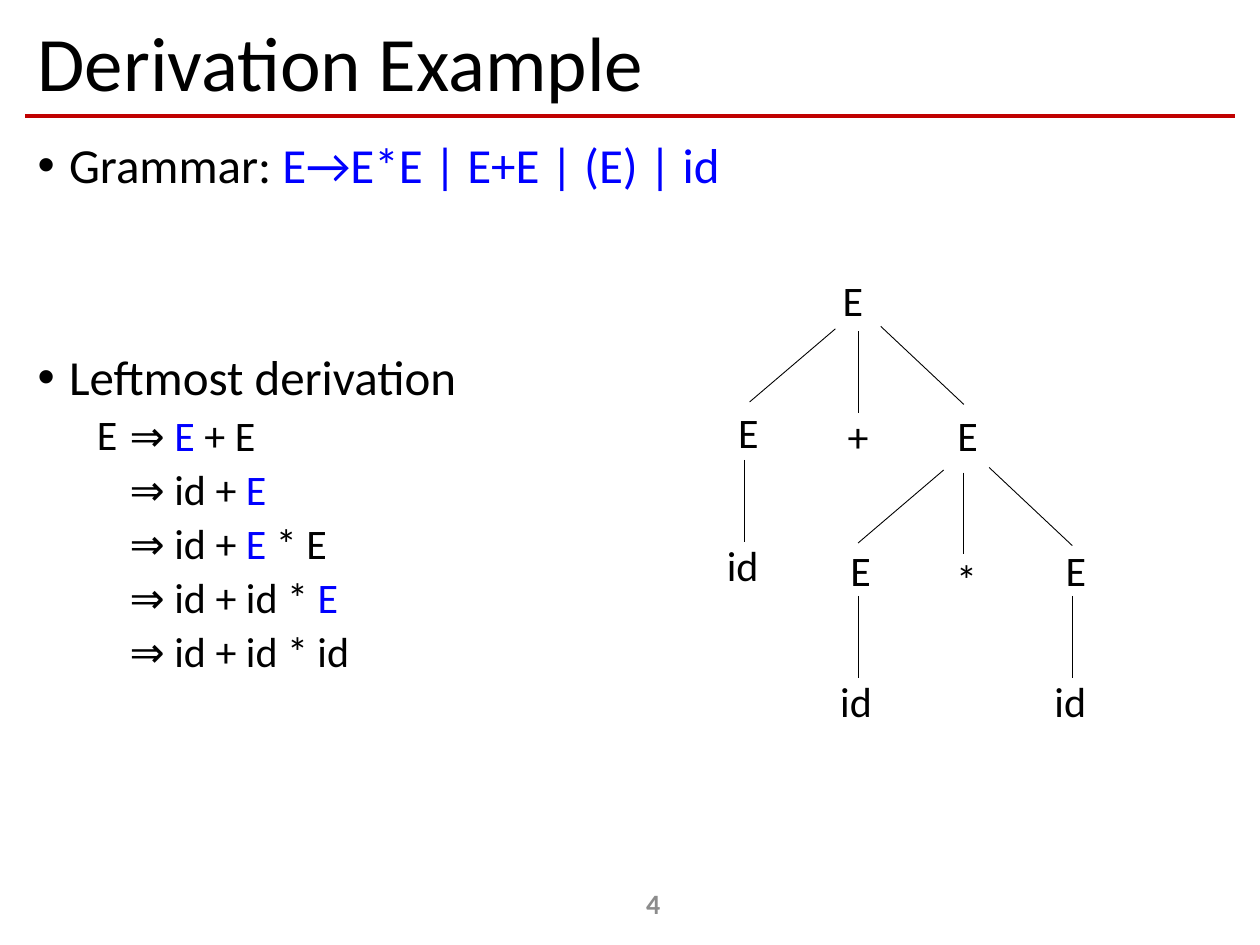
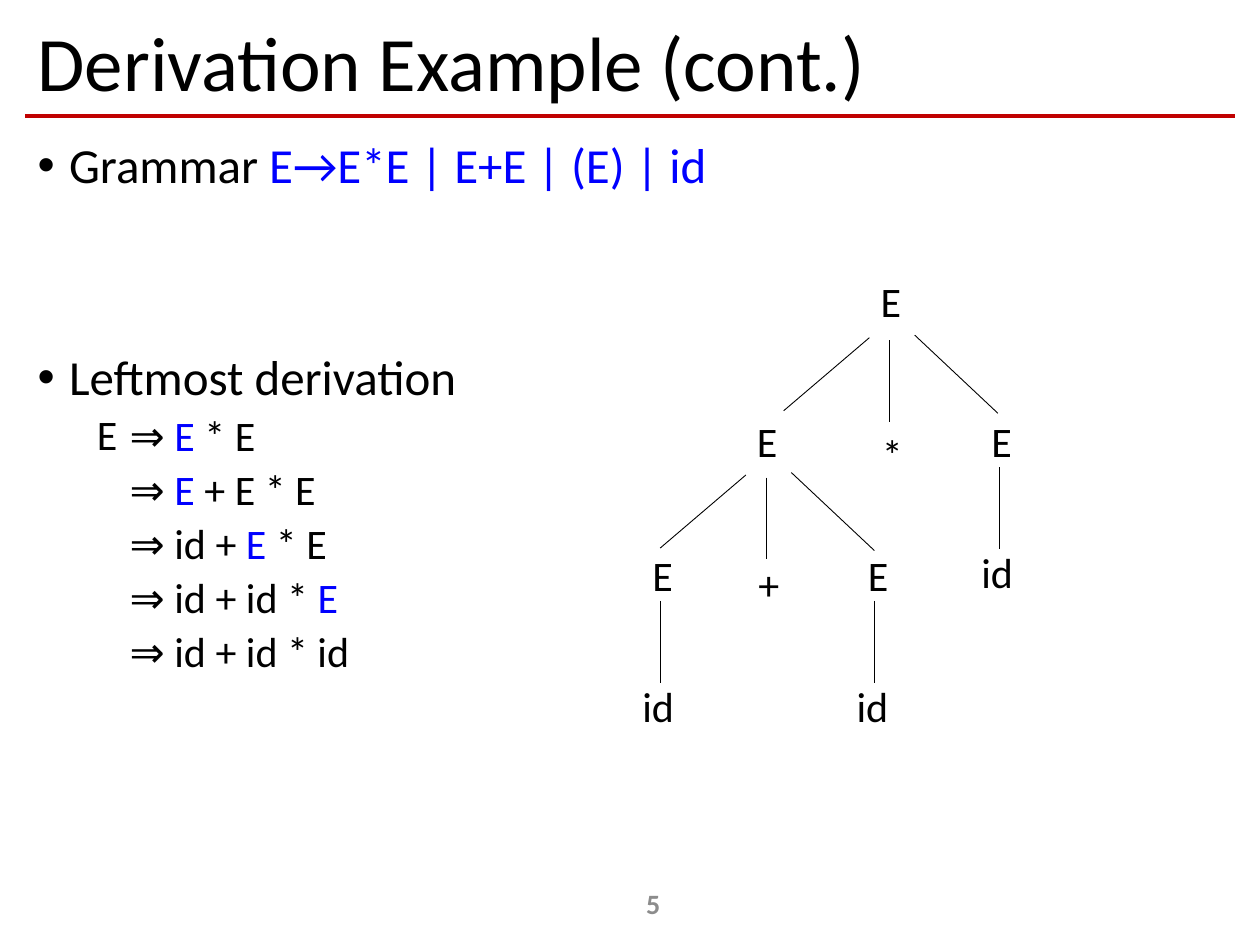
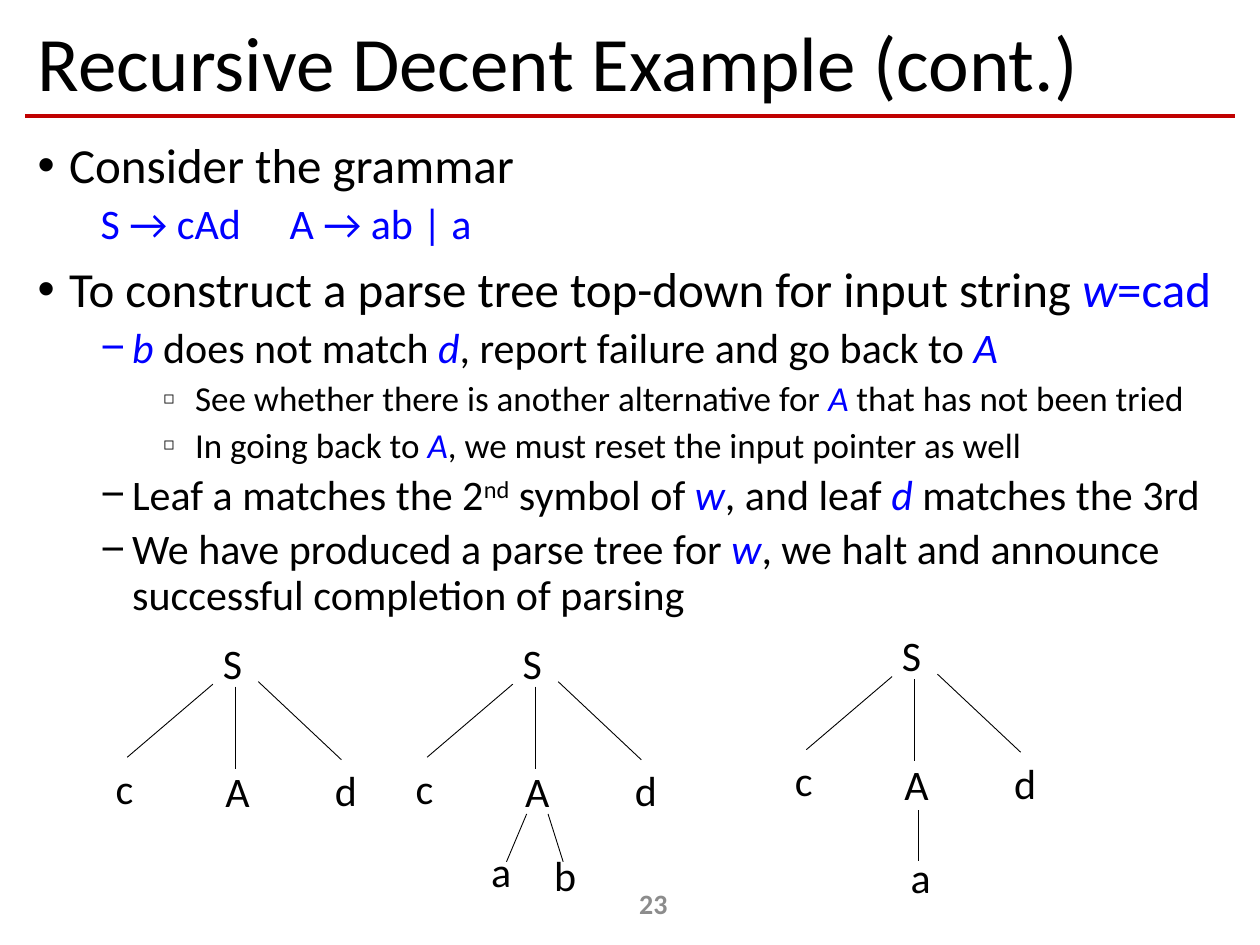
from dataclasses import dataclass

from lxml import etree
from pptx import Presentation
from pptx.dml.color import RGBColor
from pptx.enum import shapes, text
from pptx.oxml.ns import qn
from pptx.util import Inches, Pt

BLACK = RGBColor(0, 0, 0)
BLUE = RGBColor(0, 0, 0xFF)
RED = RGBColor(0xC0, 0, 0)
GREY = RGBColor(0x8C, 0x8C, 0x8C)
FONT = "Calibri"


# Text parts
@dataclass(frozen=True)
class Run:
    words: str
    blue: bool = False
    slant: bool = False
    high: bool = False


@dataclass(frozen=True)
class Level:
    size: int
    left: float
    first: float
    before: int
    mark: str = ""
    scale: int = 100
    tab: float = 0


@dataclass(frozen=True)
class Para:
    level: Level
    runs: tuple[Run, ...]


TOP = Level(28, 0.25, -0.25, 10, "•")
GAP = Level(28, 0.25, -0.25, 91, "•")
STEP = Level(24, 0.73, 0, 5)
RULE = Level(24, 0, 0.5, 5, tab=2.5)
DASH = Level(24, 0.75, -0.25, 5, "−")
BOX = Level(20, 1.25, -0.25, 5, "◻", 50)


def blue(words: str) -> Run:
    return Run(words, blue=True)


def var(words: str) -> Run:
    return Run(words, blue=True, slant=True)


def para(level: Level, *parts: str | Run) -> Para:
    return Para(level, tuple(Run(p) if isinstance(p, str) else p for p in parts))


# Tree parts
@dataclass(frozen=True)
class Label:
    words: str
    left: float
    top: float


@dataclass(frozen=True)
class Line:
    x1: float
    y1: float
    x2: float
    y2: float


@dataclass(frozen=True)
class Fan:
    """Three branches below (x, y); drops are the label offsets."""
    x: float
    y: float
    leaves: str
    drops: tuple = ((-1.05, 0.55), (-0.18, 0.58), (0.69, 0.57))
    shift: float = 0


@dataclass(frozen=True)
class Stem:
    x: float
    y: float
    leaf: str = "id"


@dataclass(frozen=True)
class Page:
    title: str
    number: int
    body: tuple[Para, ...]
    tree: tuple
    depth: float = 6.3


WIDTHS = {"id": 0.46, "A": 0.4, "c": 0.34}
LOW = ((-1.02, 0.52), (-0.18, 0.59), (0.69, 0.52))
WIDE = ((-1.17, 0.55), (-0.18, 0.65), (0.69, 0.55))


# Drawing
def draw_line(slide, line: Line, color: RGBColor = BLACK, width: float = 0.5) -> None:
    ends = [Inches(v) for v in (line.x1, line.y1, line.x2, line.y2)]
    link = slide.shapes.add_connector(shapes.MSO_CONNECTOR.STRAIGHT, *ends)
    link.line.color.rgb = color
    link.line.width = Pt(width)
    etree.SubElement(link._element.spPr, qn("a:effectLst"))


def add_box(slide, left: float, top: float, width: float, height: float, wrap: bool = True):
    box = slide.shapes.add_textbox(*map(Inches, (left, top, width, height)))
    box.text_frame.word_wrap = wrap
    return box.text_frame


def set_font(par, size: int, color: RGBColor = BLACK, bold: bool = False) -> None:
    par.font.name = FONT
    par.font.size = Pt(size)
    par.font.color.rgb = color
    par.font.bold = bold


def draw_label(slide, label: Label) -> None:
    frame = add_box(slide, label.left, label.top, WIDTHS.get(label.words, 0.37), 0.5, False)
    frame.auto_size = text.MSO_AUTO_SIZE.SHAPE_TO_FIT_TEXT
    frame.text = label.words
    set_font(frame.paragraphs[0], 24)


def draw_fan(slide, fan: Fan) -> None:
    x, y = fan.x, fan.y
    draw_line(slide, Line(x - 0.18, y - 0.02, x - 0.86, y + 0.56))
    draw_line(slide, Line(x + 0.18, y - 0.04, x + 0.84, y + 0.58))
    draw_line(slide, Line(x + fan.shift, y, x + fan.shift, y + 0.65))
    for leaf, (dx, dy) in zip(fan.leaves, fan.drops):
        draw_label(slide, Label(leaf, x + dx, y + dy))


def draw_stem(slide, stem: Stem) -> None:
    draw_line(slide, Line(stem.x, stem.y, stem.x, stem.y + 0.65))
    draw_label(slide, Label(stem.leaf, stem.x - 0.24, stem.y + 0.58))


def set_level(par, level: Level) -> None:
    props = par._p.get_or_add_pPr()
    props.set("marL", str(Inches(level.left)))
    props.set("indent", str(Inches(level.first)))
    if level.mark:
        etree.SubElement(props, qn("a:buSzPct"), val=str(level.scale * 1000))
        etree.SubElement(props, qn("a:buFont"), typeface="Arial")
        etree.SubElement(props, qn("a:buChar"), char=level.mark)
    if level.tab:
        tabs = etree.SubElement(props, qn("a:tabLst"))
        etree.SubElement(tabs, qn("a:tab"), pos=str(Inches(level.tab)), algn="l")
    par.line_spacing = 0.9
    par.space_before = Pt(level.before)
    set_font(par, level.size)


def draw_body(slide, page: Page) -> None:
    frame = add_box(slide, 0.2, 1.07, 9.61, page.depth)
    for i, item in enumerate(page.body):
        par = frame.add_paragraph() if i else frame.paragraphs[0]
        set_level(par, item.level)
        for part in item.runs:
            run = par.add_run()
            run.text = part.words
            if part.blue:
                run.font.color.rgb = BLUE
            if part.slant:
                run.font.italic = True
            if part.high:
                run._r.get_or_add_rPr().set("baseline", "30000")


def draw_frame(slide, page: Page) -> None:
    draw_line(slide, Line(0.2, 0.92, 9.8, 0.92), RED, 2.5)
    title = add_box(slide, 0.2, 0.13, 9.61, 0.79)
    title.text = page.title
    title.paragraphs[0].line_spacing = 0.9
    set_font(title.paragraphs[0], 44)
    foot = add_box(slide, 4.06, 6.97, 2.25, 0.4)
    foot.text = str(page.number)
    foot.paragraphs[0].alignment = text.PP_ALIGN.CENTER
    set_font(foot.paragraphs[0], 16, GREY, True)
    for frame in (title, foot):
        frame.vertical_anchor = text.MSO_ANCHOR.MIDDLE


DRAW = {Label: draw_label, Line: draw_line, Fan: draw_fan, Stem: draw_stem}


# Content
def derive(intro: str, *steps: tuple) -> tuple[Para, ...]:
    """Grammar, heading and the first steps, then the two steps all share."""
    ends = (("id + id * ", blue("E")), ("id + id * id",))
    return (
        para(TOP, intro, blue("E→E*E | E+E | (E) | id")),
        para(GAP, "Leftmost derivation"),
        *(para(STEP, "⇒ ", *step) for step in steps + ends),
    )


START = Label("E", 0.67, 3.19)
E = blue("E")

PAGES = (
    Page(
        "Derivation Example", 4,
        derive("Grammar: ", (E, " + E"), ("id + ", E), ("id + ", E, " * E")),
        (START, Label("E", 6.59, 2.13),
         Fan(6.81, 2.63, "E+E"), Fan(7.67, 3.75, "E*E", LOW, -0.02),
         Stem(5.91, 3.65), Stem(6.81, 4.73), Stem(8.51, 4.73)),
    ),
    Page(
        "Derivation Example (cont.)", 5,
        derive("Grammar ", (E, " * E"), (E, " + E * E"), ("id + ", E, " * E")),
        (START, Label("E", 6.89, 2.14),
         Fan(7.08, 2.7, "E*E", WIDE, -0.02), Fan(6.1, 3.79, "E+E", LOW, -0.02),
         Stem(7.93, 3.71), Stem(5.24, 4.77), Stem(6.94, 4.77)),
    ),
    Page(
        "Recursive Decent Example (cont.)", 23,
        (
            para(TOP, "Consider the grammar"),
            para(RULE, blue("S → cAd\tA → ab | a")),
            para(TOP, "To construct a parse tree top-down for input string ",
                 var("w"), blue("=cad")),
            para(DASH, var("b"), " does not match ", var("d"),
                 ", report failure and go back to ", var("A")),
            para(BOX, "See whether there is another alternative for ", var("A"),
                 " that has not been tried"),
            para(BOX, "In going back to ", var("A"),
                 ", we must reset the input pointer as well"),
            para(DASH, "Leaf a matches the 2", Run("nd", high=True), " symbol of ",
                 var("w"), ", and leaf ", var("d"), " matches the 3rd"),
            para(DASH, "We have produced a parse tree for ", var("w"),
                 ", we halt and announce successful completion of parsing"),
        ),
        (
            *(part for x, y in ((1.87, 5.45), (4.25, 5.45), (7.26, 5.39))
              for part in (Label("S", x - 0.2, y - 0.44), Fan(x, y, "cAd"))),
            Line(4.18, 6.46, 4.02, 6.84), Label("a", 3.8, 6.66),
            Line(4.35, 6.46, 4.47, 6.84), Label("b", 4.3, 6.69),
            Line(7.29, 6.43, 7.29, 6.83), Label("a", 7.13, 6.71),
        ),
        5.68,
    ),
)


def main() -> None:
    deck = Presentation()
    deck.slide_width, deck.slide_height = Inches(10), Inches(7.5)
    for page in PAGES:
        slide = deck.slides.add_slide(deck.slide_layouts[6])
        draw_frame(slide, page)
        draw_body(slide, page)
        for part in page.tree:
            DRAW[type(part)](slide, part)
    deck.save("out.pptx")


if __name__ == "__main__":
    main()
